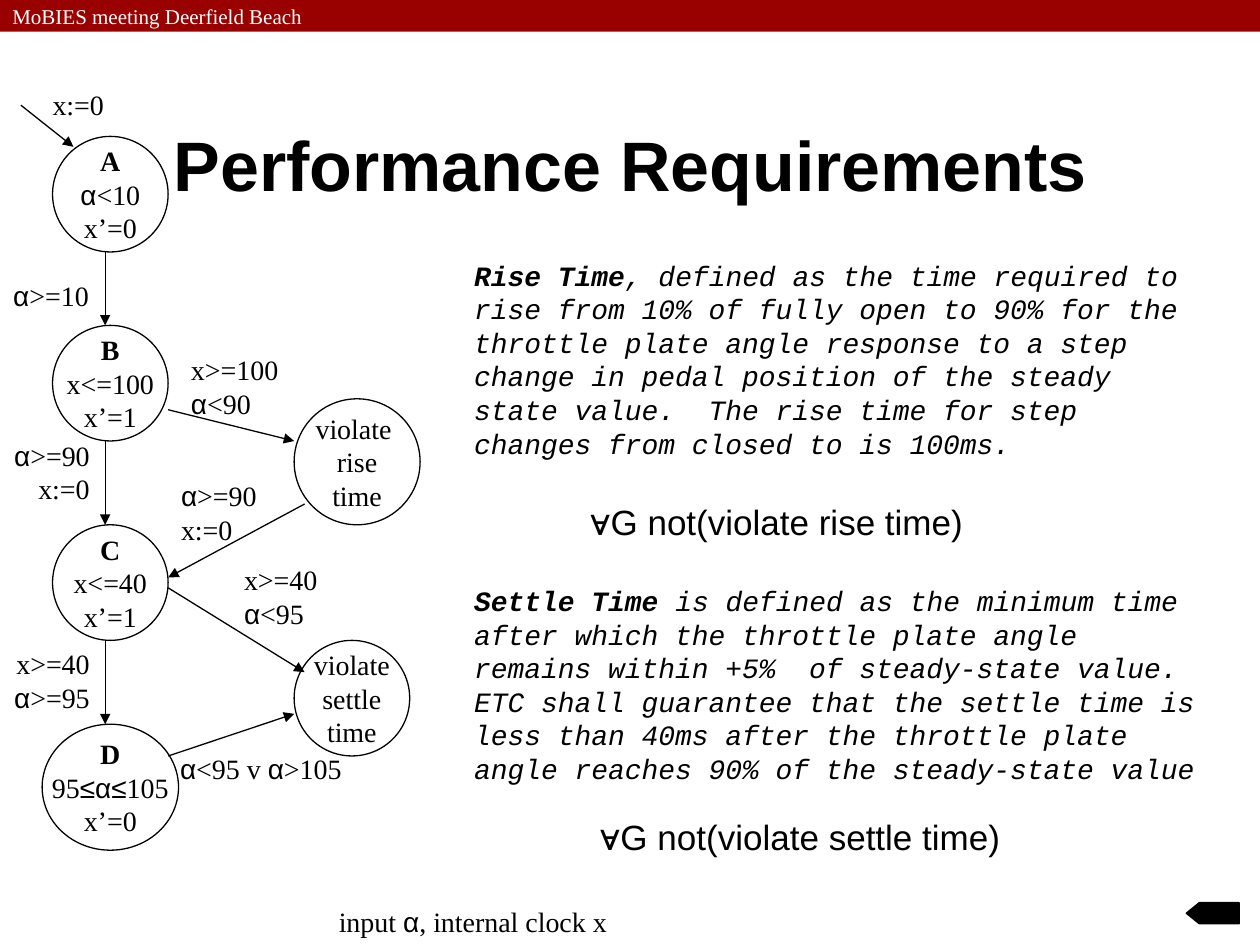
from dataclasses import dataclass
from itertools import groupby

from lxml.etree import SubElement
from pptx import Presentation
from pptx.dml.color import RGBColor
from pptx.enum.shapes import MSO_CONNECTOR, MSO_SHAPE
from pptx.enum.text import MSO_ANCHOR, MSO_AUTO_SIZE, PP_ALIGN
from pptx.oxml.ns import qn
from pptx.util import Cm, Pt


@dataclass(frozen=True)
class Theme:
    ink: RGBColor = RGBColor(0, 0, 0)
    paper: RGBColor = RGBColor(255, 255, 255)
    banner: RGBColor = RGBColor(0x99, 0, 0)
    serif: str = "Times New Roman"
    sans: str = "Arial"
    mono: str = "Courier New"
    banner_size: Pt = Pt(12)
    body_size: Pt = Pt(16)
    formula_size: Pt = Pt(20)
    title_size: Pt = Pt(40)
    hairline: Pt = Pt(0.75)
    button_line: Pt = Pt(1)


THEME = Theme()
LEFT, CENTER, RIGHT = PP_ALIGN.LEFT, PP_ALIGN.CENTER, PP_ALIGN.RIGHT
SYMBOLS = "α≤"

STATE_LEFT, STATE_SIZE = 1.06, 2.33
VIOLATION_LEFT, RISE_SIZE = 5.93, 2.54
STATES = [  # left, top, width, height, lines, whether the first line is bold
    (STATE_LEFT, 2.75, STATE_SIZE, STATE_SIZE, ["A", "α<10", "x’=0"], True),
    (STATE_LEFT, 6.56, STATE_SIZE, STATE_SIZE, ["B", "x<=100", "x’=1"], True),
    (STATE_LEFT, 10.58, STATE_SIZE, STATE_SIZE, ["C", "x<=40", "x’=1"], True),
    (0.85, 14.6, 2.75, 2.54, ["D", "95≤α≤105", "x’=0"], True),
    (VIOLATION_LEFT, 8.04, RISE_SIZE, RISE_SIZE,
     ["violate ", "rise", "time"], False),
    (VIOLATION_LEFT, 12.91, STATE_SIZE, STATE_SIZE,
     ["violate", "settle", "time"], False),
]

SPINE, STATE_RIGHT = 2.12, 3.39
TRANSITIONS = [  # start x, start y, end x, end y
    (0.42, 2.12, 1.48, 2.96),
    (SPINE, 5.08, SPINE, 6.56),
    (SPINE, 8.89, SPINE, 10.58),
    (SPINE, 12.91, SPINE, 14.6),
    (STATE_RIGHT, 8.26, VIOLATION_LEFT, 8.89),
    (6.14, 10.16, STATE_RIGHT, 11.64),
    (STATE_RIGHT, 11.85, 6.14, 13.55),
    (STATE_RIGHT, 15.24, VIOLATION_LEFT, 14.39),
]

ONE_LINE, TWO_LINES = 0.94, 1.63
GUARDS = [  # left, top, width, height, lines, alignment
    (0.81, 1.65, 1.55, ONE_LINE, ["x:=0"], LEFT),
    (0, 5.5, 2.06, ONE_LINE, ["α>=10"], CENTER),
    (3.6, 6.99, 2.5, TWO_LINES, ["x>=100", "α<90"], LEFT),
    (0, 8.71, 2.06, TWO_LINES, ["α>=90", "x:=0"], RIGHT),
    (3.4, 9.53, 2.06, TWO_LINES, ["α>=90", "x:=0"], LEFT),
    (4.67, 11.22, 1.98, TWO_LINES, ["x>=40", "α<95"], LEFT),
    (0, 12.91, 2.06, TWO_LINES, ["x>=40", "α>=95"], RIGHT),
    (3.38, 15.03, 4.01, ONE_LINE, ["α<95 v α>105"], LEFT),
    (6.58, 18.11, 5.94, ONE_LINE, ["input α, internal clock x"], LEFT),
]

DEFINITIONS = [  # top, width, term, explanation
    (5.08, 14.81, "Rise Time",
     ", defined as the time required to rise from 10% of fully open to 90% "
     "for the throttle plate angle response to a step change in pedal "
     "position of the steady state value.  The rise time for step changes "
     "from closed to is 100ms."),
    (11.64, 15.29, "Settle Time",
     " is defined as the minimum time after which the throttle plate angle "
     "remains within +5%  of steady-state value. ETC shall guarantee that "
     "the settle time is less than 40ms after the throttle plate angle "
     "reaches 90% of the steady-state value"),
]

FORMULAS = [  # left, top, width, text
    (11.64, 9.96, 8.13, "∀G not(violate rise time)"),
    (11.84, 16.31, 8.66, "∀G not(violate settle time)"),
]


def add_span(para, text, face, size, color=THEME.ink, bold=False, italic=False):
    span = para.add_run()
    span.text = text
    font = span.font
    font.name, font.size, font.bold, font.italic = face, size, bold, italic
    font.color.rgb = color


def write_notation(frame, lines, align, bold_first=False):
    """Write serif lines, setting the mathematical symbols in the sans face."""
    for index, line in enumerate(lines):
        para = frame.paragraphs[0] if index == 0 else frame.add_paragraph()
        para.alignment = align
        for is_symbol, letters in groupby(line, lambda letter: letter in SYMBOLS):
            face = THEME.sans if is_symbol else THEME.serif
            add_span(para, "".join(letters), face, THEME.body_size,
                     bold=bold_first and index == 0)


def add_text_box(page, left, top, width, height, wrap=False):
    box = page.shapes.add_textbox(Cm(left), Cm(top), Cm(width), Cm(height))
    box.text_frame.word_wrap = wrap
    box.text_frame.auto_size = MSO_AUTO_SIZE.SHAPE_TO_FIT_TEXT
    return box.text_frame


def add_banner(page, width):
    banner = page.shapes.add_shape(MSO_SHAPE.RECTANGLE, 0, 0, width, Cm(0.64))
    banner.shadow.inherit = False
    banner.fill.solid()
    banner.fill.fore_color.rgb = THEME.banner
    banner.line.fill.background()
    frame = banner.text_frame
    frame.word_wrap = False
    frame.vertical_anchor = MSO_ANCHOR.MIDDLE
    para = frame.paragraphs[0]
    para.alignment = LEFT
    add_span(para, "MoBIES meeting Deerfield Beach", THEME.serif,
             THEME.banner_size, THEME.paper)


def add_title(page):
    frame = add_text_box(page, 1.91, 1.7, 21.59, 3.18, wrap=True)
    frame.auto_size = MSO_AUTO_SIZE.NONE
    frame.vertical_anchor = MSO_ANCHOR.MIDDLE
    para = frame.paragraphs[0]
    para.alignment = CENTER
    add_span(para, "Performance Requirements", THEME.sans, THEME.title_size,
             bold=True)


def add_back_button(page):
    tip, shoulder, right = Cm(23.92), Cm(24.18), Cm(24.98)
    top, middle, bottom = Cm(18.2), Cm(18.41), Cm(18.62)
    outline = page.shapes.build_freeform(right, top)
    outline.add_line_segments([(shoulder, top), (tip, middle),
                               (shoulder, bottom), (right, bottom)])
    button = outline.convert_to_shape()
    button.shadow.inherit = False
    button.fill.solid()
    button.fill.fore_color.rgb = THEME.ink
    button.line.color.rgb = THEME.ink
    button.line.width = THEME.button_line


def add_state(page, left, top, width, height, lines, bold_first):
    state = page.shapes.add_shape(MSO_SHAPE.OVAL, Cm(left), Cm(top),
                                  Cm(width), Cm(height))
    state.shadow.inherit = False
    state.fill.solid()
    state.fill.fore_color.rgb = THEME.paper
    state.line.color.rgb = THEME.ink
    state.line.width = THEME.hairline
    frame = state.text_frame
    frame.word_wrap = False
    frame.vertical_anchor = MSO_ANCHOR.MIDDLE
    write_notation(frame, lines, CENTER, bold_first)


def add_transition(page, *ends):
    arrow = page.shapes.add_connector(MSO_CONNECTOR.STRAIGHT, *map(Cm, ends))
    arrow.line.color.rgb = THEME.ink
    arrow.line.width = THEME.hairline
    SubElement(arrow.line._get_or_add_ln(), qn("a:tailEnd"), type="triangle")
    SubElement(arrow._element.spPr, qn("a:effectLst"))


def add_guard(page, left, top, width, height, lines, align):
    write_notation(add_text_box(page, left, top, width, height), lines, align)


def add_definition(page, top, width, term, explanation):
    para = add_text_box(page, 9.31, top, width, 4.32, wrap=True).paragraphs[0]
    add_span(para, term, THEME.mono, THEME.body_size, bold=True, italic=True)
    add_span(para, explanation, THEME.mono, THEME.body_size, italic=True)


def add_formula(page, left, top, width, text):
    para = add_text_box(page, left, top, width, 1.12).paragraphs[0]
    add_span(para, text, THEME.sans, THEME.formula_size)


def main():
    deck = Presentation()
    deck.slide_width, deck.slide_height = Cm(25.4), Cm(19.05)
    page = deck.slides.add_slide(deck.slide_layouts[6])
    add_banner(page, deck.slide_width)
    add_title(page)
    add_back_button(page)
    for add_element, rows in ((add_definition, DEFINITIONS),
                              (add_state, STATES),
                              (add_transition, TRANSITIONS),
                              (add_guard, GUARDS),
                              (add_formula, FORMULAS)):
        for row in rows:
            add_element(page, *row)
    deck.save("out.pptx")


if __name__ == "__main__":
    main()
